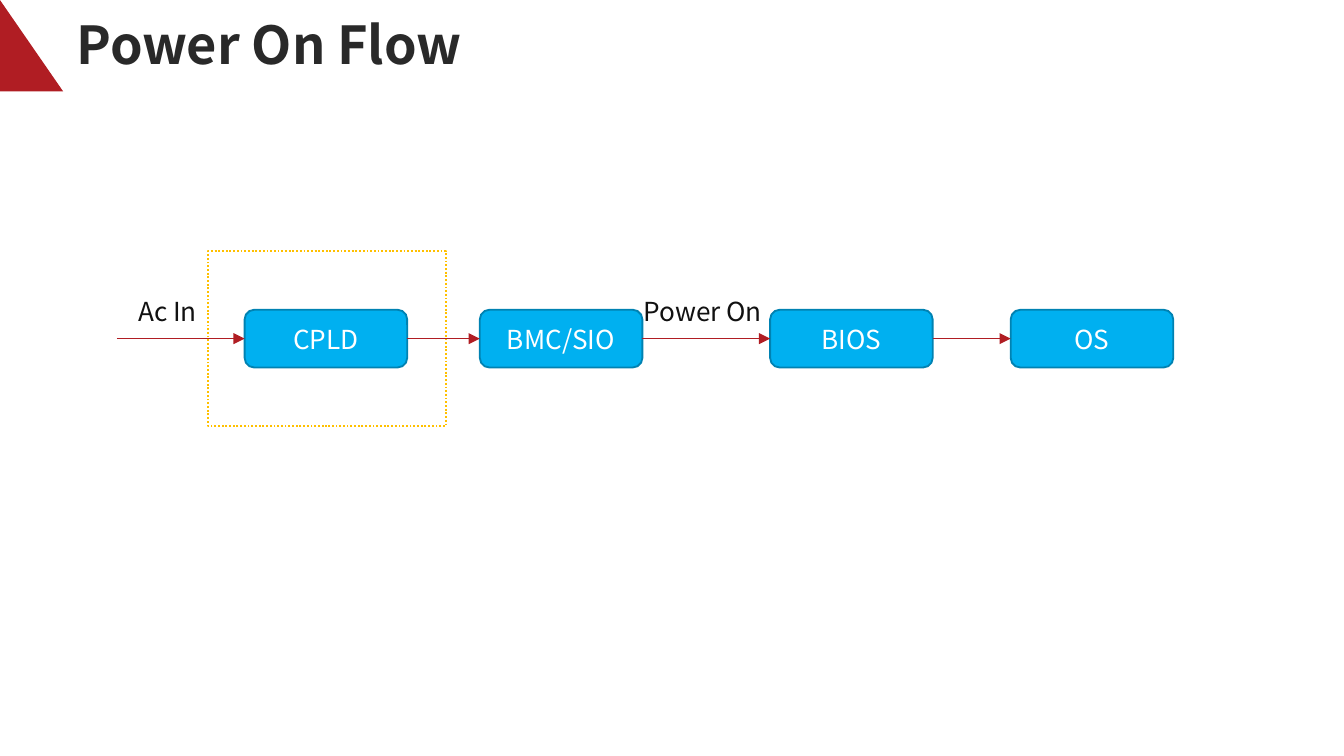
from lxml.etree import SubElement
from pptx import Presentation
from pptx.dml.color import RGBColor
from pptx.enum.dml import MSO_LINE
from pptx.enum.shapes import MSO_CONNECTOR, MSO_SHAPE
from pptx.enum.text import MSO_ANCHOR, PP_ALIGN
from pptx.oxml.ns import qn
from pptx.util import Inches, Pt

FONT = "Noto Sans CJK SC"
RED = RGBColor(0xB0, 0x1D, 0x23)
BLUE = RGBColor(0x00, 0xB0, 0xF0)
DARK_BLUE = RGBColor(0x00, 0x82, 0xB2)
AMBER = RGBColor(0xFF, 0xC0, 0x00)
WHITE = RGBColor(0xFF, 0xFF, 0xFF)
TITLE_INK = RGBColor(0x29, 0x29, 0x29)
INK = RGBColor(0x11, 0x11, 0x11)

STEP_W, STEP_H = 1.21, 0.43
STEPS = [("CPLD", 0.95), ("BMC/SIO", 2.7), ("BIOS", 4.86), ("OS", 6.65)]  # name, left in the flow


def add_box(slide, kind, box, fill, line=None):
    sp = slide.shapes.add_shape(kind, *map(Inches, box))
    sp.shadow.inherit = False
    sp.fill.solid()
    sp.fill.fore_color.rgb = fill
    if line is None:
        sp.line.fill.background()
    else:
        sp.line.color.rgb = line
        sp.line.width = Pt(1)
    return sp


def write(tf, text, size, color, bold=False, align=PP_ALIGN.LEFT):
    p = tf.paragraphs[0]
    p.text = text
    p.alignment = align
    p.font.name, p.font.size, p.font.bold = FONT, Pt(size), bold
    p.font.color.rgb = color
    return p


def add_label(slide, text, box):
    tf = slide.shapes.add_textbox(*map(Inches, box)).text_frame
    tf.word_wrap = True
    write(tf, text, 14, INK)


def add_arrow(slide, start, end, source=None, target=None):
    """Draw an arrow, joined to the right of source and the left of target."""
    cxn = slide.shapes.add_connector(MSO_CONNECTOR.STRAIGHT, *map(Inches, start + end))
    if source is not None:
        cxn.begin_connect(source, 3)
    if target is not None:
        cxn.end_connect(target, 1)
    cxn.line.color.rgb = RED
    cxn.line.width = Pt(0.5)
    SubElement(cxn.line._get_or_add_ln(), qn("a:tailEnd"), type="triangle")
    SubElement(cxn._element.spPr, qn("a:effectLst"))


def add_header(slide, left, top, width, height):
    add_box(slide, MSO_SHAPE.RIGHT_TRIANGLE, (left, top, 0.47, height), RED)
    tb = slide.shapes.add_textbox(*map(Inches, (left + 0.49, top + 0.09, width - 1.96, 0.53)))
    tf = tb.text_frame
    tf.word_wrap = True
    tf.vertical_anchor = MSO_ANCHOR.MIDDLE
    tf.margin_left = tf.margin_right = Inches(0.08)
    tf.margin_top = tf.margin_bottom = Inches(0.04)
    write(tf, "Power On Flow", 28, TITLE_INK, bold=True).line_spacing = 0.9


def add_step(slide, name, box):
    sp = add_box(slide, MSO_SHAPE.ROUNDED_RECTANGLE, box, BLUE, DARK_BLUE)
    sp.text_frame.vertical_anchor = MSO_ANCHOR.MIDDLE
    write(sp.text_frame, name, 14, WHITE, align=PP_ALIGN.CENTER)
    return sp


def add_flow(slide, left, top, height):
    frame = add_box(slide, MSO_SHAPE.RECTANGLE, (left + 0.68, top, 1.77, height), WHITE, AMBER)
    frame.line.dash_style = MSO_LINE.ROUND_DOT

    middle = top + height / 2
    steps = [add_step(slide, name, (left + x, middle - STEP_H / 2, STEP_W, STEP_H))
             for name, x in STEPS]

    start, end = (left, middle), (left + STEPS[0][1], middle)
    for source, target in zip([None] + steps, steps):
        add_arrow(slide, start, end, source, target)

    add_label(slide, "Ac In", (left + 0.06, top + 0.28, 1.03, 0.34))
    add_label(slide, "Power On", (left + 3.82, top + 0.28, 1.24, 0.34))


def main():
    prs = Presentation()
    prs.slide_width = Inches(10)
    prs.slide_height = prs.slide_width * 9 // 16
    slide = prs.slides.add_slide(prs.slide_layouts[6])
    add_header(slide, 0, 0, 10, 0.68)
    add_flow(slide, 0.87, 1.87, 1.3)
    prs.save("out.pptx")


if __name__ == "__main__":
    main()
